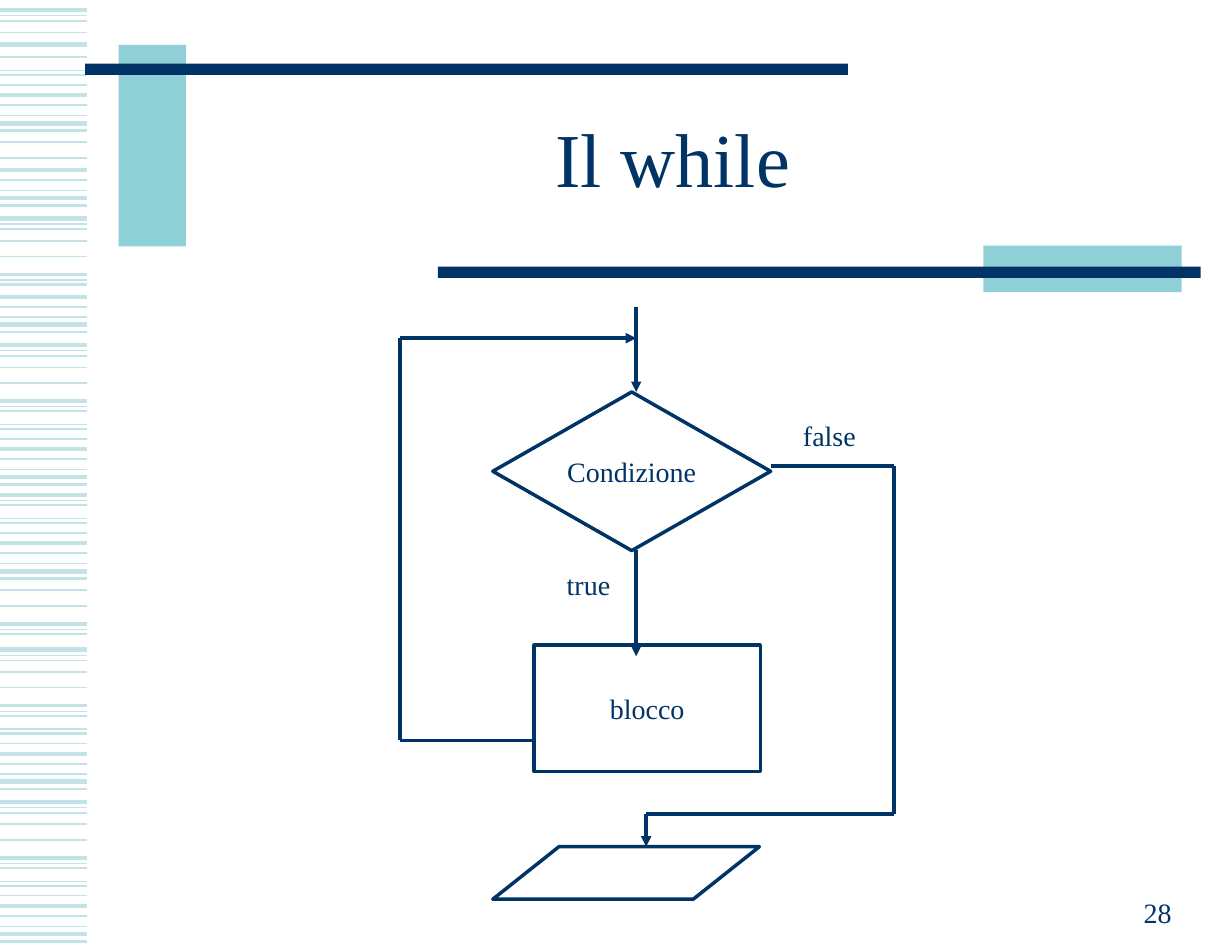
from dataclasses import dataclass
from itertools import pairwise
from typing import NamedTuple

from pptx import Presentation
from pptx.dml.color import RGBColor
from pptx.enum import shapes as kinds, text as t
from pptx.oxml.ns import qn
from pptx.util import Pt
from lxml import etree


@dataclass(frozen=True)
class Theme:
    font: str = "Times New Roman"
    navy: RGBColor = RGBColor(0x00, 0x33, 0x66)
    teal: RGBColor = RGBColor(0x8F, 0xD0, 0xD7)
    stripe: RGBColor = RGBColor(0xC3, 0xE3, 0xE7)
    title_size: float = 49
    text_size: float = 18
    line_width: float = 2.25


class Box(NamedTuple):
    left: float
    top: float
    width: float
    height: float


class Node(NamedTuple):
    kind: kinds.MSO_SHAPE
    box: Box
    words: str = ""


class Label(NamedTuple):
    words: str
    box: Box
    format: dict


class Stripe(NamedTuple):
    offset: float
    weight: float


class Band(NamedTuple):
    top: float
    stripes: list[Stripe]


class Route(NamedTuple):
    points: list[tuple[float, float]]
    arrow: bool = False


THEME = Theme()
MARGINS = {"margin_left": Pt(7.92), "margin_right": Pt(7.92),
           "margin_top": Pt(4.32), "margin_bottom": Pt(4.32)}

STRIPE_LENGTH = 56.2
HEAD = [Stripe(0, 3), Stripe(3.6, 0.75), Stripe(7, 1), Stripe(14.4, 1),
        Stripe(24.5, 1), Stripe(36, 2.25), Stripe(39.6, 0.75), Stripe(42.5, 1.5)]
MIDDLE = [Stripe(0, 0.75), Stripe(2.9, 1.5), Stripe(9.2, 1)]
TAIL = [Stripe(0, 2.25), Stripe(6.5, 1.5), Stripe(13, 0.75),
        Stripe(18, 3), Stripe(22.7, 1.5)]
BANDS = [
    Band(6.5, HEAD[:4]), Band(28.8, HEAD[:1]), Band(-5.8, HEAD[7:]),
    Band(45.4, MIDDLE), Band(61.2, TAIL), Band(77, HEAD[3:5]), Band(109.4, TAIL),
    Band(140.4, HEAD), Band(190.8, TAIL),
    Band(221.8, HEAD), Band(272.9, MIDDLE), Band(288.7, TAIL),
    Band(282.2, HEAD[5:]), Band(333.4, MIDDLE), Band(349.2, TAIL),
    Band(365, HEAD[3:]),
    Band(417.6, HEAD), Band(468.7, MIDDLE), Band(484.6, TAIL),
    Band(515.5, HEAD), Band(566.6, MIDDLE), Band(582.5, TAIL),
]

ORNAMENTS = [
    (Box(76.3, 28.8, 43.2, 129.6), THEME.teal),
    (Box(54.7, 41, 490.3, 7.2), THEME.navy),
    (Box(632.2, 157.9, 127.4, 30), THEME.teal),
    (Box(281.5, 171.4, 490.3, 7.2), THEME.navy),
]

NODES = [
    Node(kinds.MSO_SHAPE.DIAMOND, Box(316.8, 252, 178.6, 102), "Condizione"),
    Node(kinds.MSO_SHAPE.RECTANGLE, Box(343.4, 414.7, 145.4, 81.4), "blocco"),
    Node(kinds.MSO_SHAPE.PARALLELOGRAM, Box(316.8, 544.3, 171.4, 33.8)),
]
SLANT = 1.26

FLOW_X, LOOP_X, EXIT_X, END_X = 409, 257, 574.6, 415.4
LOOP_TOP, LOOP_BOTTOM = 217.4, 475.9
EXIT_TOP, EXIT_BOTTOM = 299.5, 523.4
ROUTES = [
    Route([(FLOW_X, 197.3), (FLOW_X, 252)], arrow=True),
    Route([(FLOW_X, 353.8), (FLOW_X, 421.9)], arrow=True),
    Route([(343.4, LOOP_BOTTOM), (LOOP_X, LOOP_BOTTOM),
           (LOOP_X, LOOP_TOP), (FLOW_X, LOOP_TOP)], arrow=True),
    Route([(495.4, EXIT_TOP), (EXIT_X, EXIT_TOP), (EXIT_X, EXIT_BOTTOM),
           (END_X, EXIT_BOTTOM), (END_X, 544.3)], arrow=True),
]

FIT = {"word_wrap": False, "auto_size": t.MSO_AUTO_SIZE.SHAPE_TO_FIT_TEXT}
LABELS = [
    Label("false", Box(508.3, 265, 50.4, 29.5), FIT),
    Label("true", Box(356.4, 360.7, 43.9, 29.5), FIT),
    Label("28", Box(571, 560.9, 190, 41),
          {"word_wrap": True, "vertical_anchor": t.MSO_ANCHOR.BOTTOM}),
]


def apply(target, values: dict) -> None:
    for name, value in values.items():
        setattr(target, name, value)


def points(box: Box) -> list[Pt]:
    return [Pt(length) for length in box]


def write(shape, words: str, align, size: float, frame_format: dict) -> None:
    frame = shape.text_frame
    apply(frame, MARGINS | frame_format)
    para = frame.paragraphs[0]
    para.alignment = align
    span = para.add_run()
    span.text = words
    apply(span.font, {"name": THEME.font, "size": Pt(size)})
    span.font.color.rgb = THEME.navy


def draw_line(page, start, end, color: RGBColor, weight: float, arrow: bool = False) -> None:
    line = page.shapes.add_connector(
        kinds.MSO_CONNECTOR.STRAIGHT, *(Pt(value) for value in (*start, *end)))
    line.line.color.rgb = color
    line.line.width = Pt(weight)
    if arrow:
        etree.SubElement(line.line._get_or_add_ln(), qn("a:tailEnd"), type="triangle")
    etree.SubElement(line._element.spPr, qn("a:effectLst"))


def draw_band(page, band: Band) -> None:
    for stripe in band.stripes:
        y = band.top + stripe.offset
        draw_line(page, (0, y), (STRIPE_LENGTH, y), THEME.stripe, stripe.weight)


def draw_ornament(page, box: Box, color: RGBColor) -> None:
    bar = page.shapes.add_shape(kinds.MSO_SHAPE.RECTANGLE, *points(box))
    bar.shadow.inherit = False
    bar.fill.solid()
    bar.fill.fore_color.rgb = color
    bar.line.fill.background()


def draw_node(page, node: Node) -> None:
    shape = page.shapes.add_shape(node.kind, *points(node.box))
    shape.shadow.inherit = False
    shape.fill.background()
    shape.line.color.rgb = THEME.navy
    shape.line.width = Pt(THEME.line_width)
    if node.kind == kinds.MSO_SHAPE.PARALLELOGRAM:
        shape.adjustments[0] = SLANT
    if node.words:
        write(shape, node.words, t.PP_ALIGN.CENTER, THEME.text_size,
              {"word_wrap": False, "vertical_anchor": t.MSO_ANCHOR.MIDDLE})


def draw_route(page, route: Route) -> None:
    """Draw straight legs, with the arrowhead only on the last one."""
    for start, end in pairwise(route.points):
        draw_line(page, start, end, THEME.navy, THEME.line_width,
                  route.arrow and end == route.points[-1])


def draw_label(page, label: Label) -> None:
    box = page.shapes.add_textbox(*points(label.box))
    align = t.PP_ALIGN.RIGHT if label.words.isdigit() else t.PP_ALIGN.LEFT
    write(box, label.words, align, THEME.text_size, label.format)


def set_title(page, words: str, box: Box) -> None:
    title = page.shapes.title
    apply(title, dict(zip(Box._fields, points(box))))
    write(title, words, t.PP_ALIGN.CENTER, THEME.title_size,
          {"word_wrap": True, "auto_size": t.MSO_AUTO_SIZE.NONE,
           "vertical_anchor": t.MSO_ANCHOR.MIDDLE})
    title.text_frame.paragraphs[0].line_spacing = 0.85


def main() -> None:
    deck = Presentation()
    apply(deck, {"slide_width": Pt(792), "slide_height": Pt(612)})
    page = deck.slides.add_slide(deck.slide_layouts[5])
    set_title(page, "Il while ", Box(118.8, 54.7, 639.4, 102.2))
    for band in BANDS:
        draw_band(page, band)
    for box, color in ORNAMENTS:
        draw_ornament(page, box, color)
    for draw, items in ((draw_node, NODES), (draw_route, ROUTES), (draw_label, LABELS)):
        for item in items:
            draw(page, item)
    deck.save("out.pptx")


if __name__ == "__main__":
    main()
